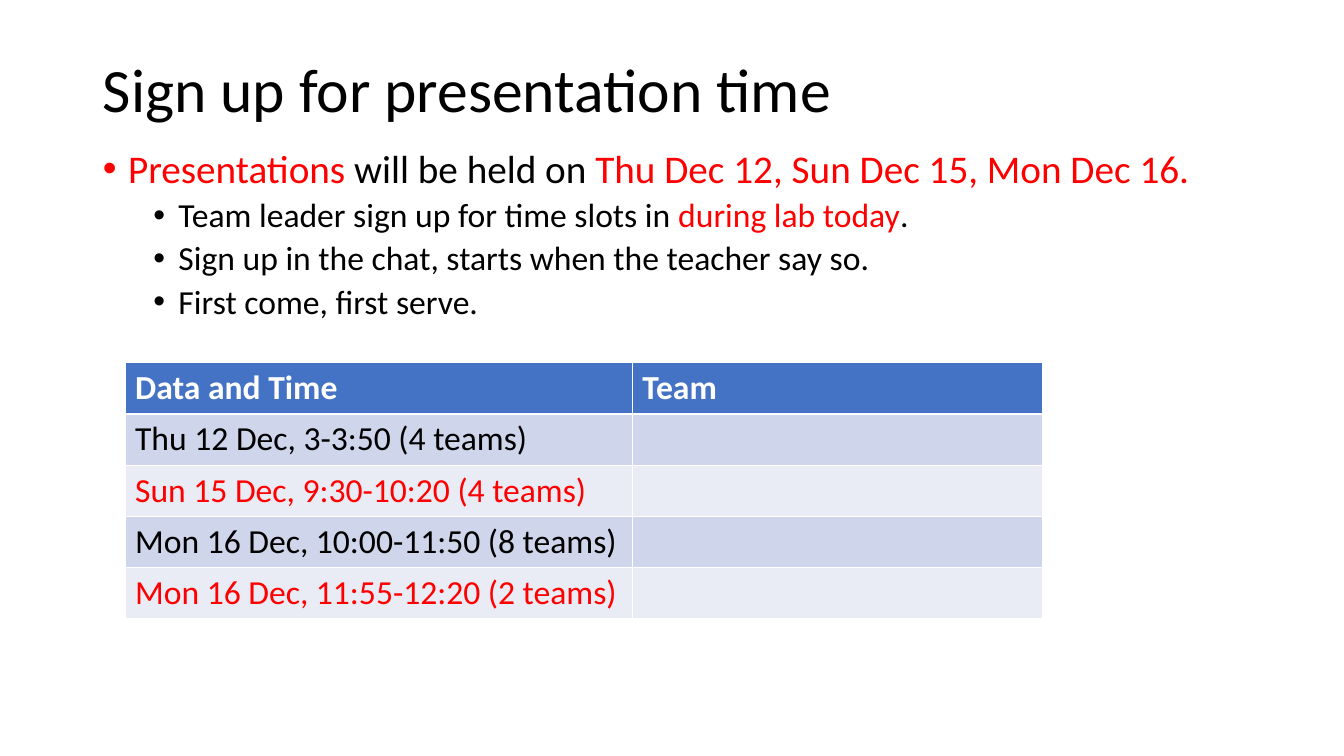
import pptx
import pptx.dml.color
import pptx.enum.text
import pptx.oxml.ns
import pptx.util
from lxml import etree

Inches = pptx.util.Inches
Pt = pptx.util.Pt
COLORS = {
    "black": "000000",
    "red": "FF0000",
    "white": "FFFFFF",
    "header": "4472C4",
    "dark band": "CFD5EA",
    "light band": "E9EBF5",
}


def color(name):
    return pptx.dml.color.RGBColor.from_string(COLORS[name])


def add_run(paragraph, text, size, color_name, bold=False):
    run = paragraph.add_run()
    run.text = text
    run.font.name = "Calibri"
    run.font.size = Pt(size)
    run.font.bold = bold
    run.font.color.rgb = color(color_name)


presentation = pptx.Presentation()
presentation.slide_width = Inches(13.33)
presentation.slide_height = Inches(7.5)
slide = presentation.slides.add_slide(presentation.slide_layouts[1])

# Title and body placeholders
title = slide.shapes.title
body = slide.placeholders[1]
for placeholder, top, height, anchor in [
    (title, 0.4, 1.03, pptx.enum.text.MSO_ANCHOR.MIDDLE),
    (body, 1.43, 1.96, pptx.enum.text.MSO_ANCHOR.TOP),
]:
    placeholder.left, placeholder.top = Inches(0.92), Inches(top)
    placeholder.width, placeholder.height = Inches(11.5), Inches(height)
    placeholder.text_frame.auto_size = pptx.enum.text.MSO_AUTO_SIZE.NONE
    placeholder.text_frame.vertical_anchor = anchor

paragraph = title.text_frame.paragraphs[0]
paragraph.alignment = pptx.enum.text.PP_ALIGN.LEFT
paragraph.line_spacing = 0.9
add_run(paragraph, "Sign up for presentation time", 44, "black")

# Bullet list: level, then runs of text and colour
bullets = [
    (0, [("Presentations", "red"), (" will be held on ", "black"),
         ("Thu Dec 12, Sun Dec 15, Mon Dec 16.", "red")]),
    (1, [("Team leader sign up for time slots in ", "black"),
         ("during lab today", "red"), (".", "black")]),
    (1, [("Sign up in the chat, starts when the teacher say so.", "black")]),
    (1, [("First come, first serve.", "black")]),
]
for index, (level, runs) in enumerate(bullets):
    frame = body.text_frame
    paragraph = frame.add_paragraph() if index else frame.paragraphs[0]
    paragraph.level = level
    paragraph.line_spacing = 0.9
    paragraph.space_before = Pt(5 if level else 10)
    properties = paragraph._p.get_or_add_pPr()
    properties.set("marL", str(Inches(0.25 + 0.5 * level)))
    properties.set("indent", str(Inches(-0.25)))
    for tag, attribute, value in [("a:buFont", "typeface", "Arial"), ("a:buChar", "char", "•")]:
        etree.SubElement(properties, pptx.oxml.ns.qn(tag)).set(attribute, value)
    for text, color_name in runs:
        add_run(paragraph, text, 28 - 4 * level, color_name)

# Sign-up table
rows = [
    ("Data and Time", "Team"),
    ("Thu 12 Dec, 3-3:50 (4 teams)", ""),
    ("Sun 15 Dec, 9:30-10:20 (4 teams)", ""),
    ("Mon 16 Dec, 10:00-11:50 (8 teams)", ""),
    ("Mon 16 Dec, 11:55-12:20 (2 teams)", ""),
]
table = slide.shapes.add_table(
    len(rows), 2, Inches(1.24), Inches(3.6), Inches(9.1), Inches(2.5)
).table
table.columns[0].width = Inches(5.03)
table.columns[1].width = Inches(4.07)
for row_index, texts in enumerate(rows):
    if row_index == 0:
        fill_name, text_color = "header", "white"
    elif row_index % 2:
        fill_name, text_color = "dark band", "black"
    else:
        fill_name, text_color = "light band", "red"
    for column_index, text in enumerate(texts):
        cell = table.cell(row_index, column_index)
        cell.fill.solid()
        cell.fill.fore_color.rgb = color(fill_name)
        if text:
            add_run(cell.text_frame.paragraphs[0], text, 24, text_color, bold=row_index == 0)

presentation.save("out.pptx")
